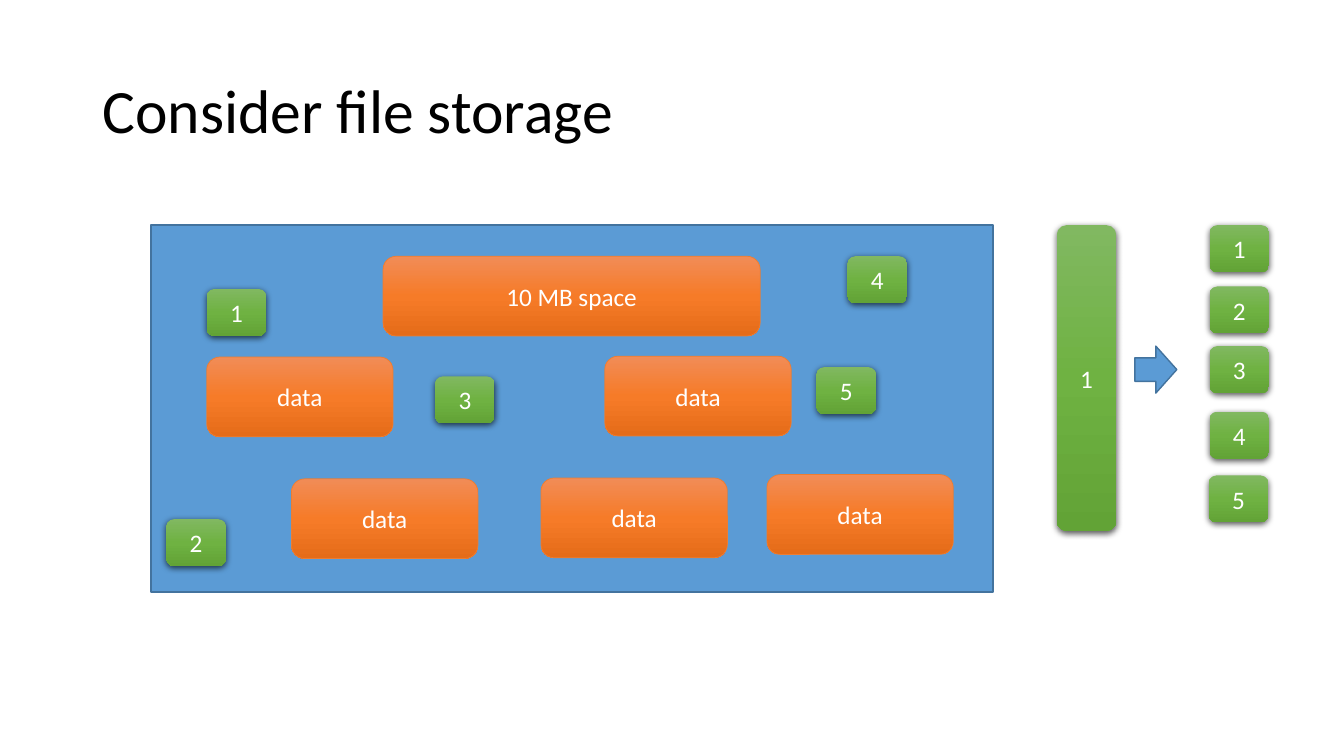
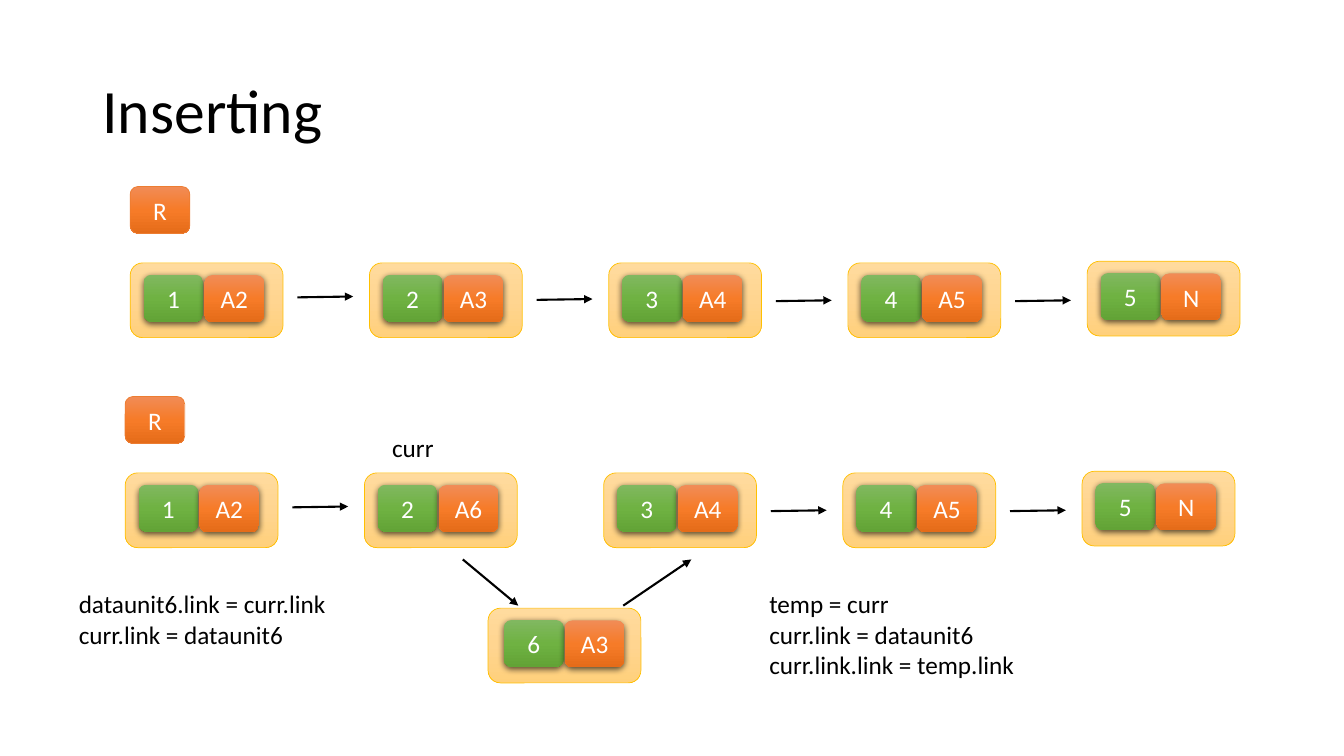
from copy import deepcopy
from dataclasses import dataclass

from lxml.etree import SubElement
from pptx import Presentation
from pptx.dml.color import RGBColor
from pptx.enum.shapes import MSO_CONNECTOR, MSO_SHAPE
from pptx.enum.text import MSO_ANCHOR, MSO_AUTO_SIZE, PP_ALIGN
from pptx.oxml.ns import qn
from pptx.shapes.autoshape import Shape
from pptx.slide import Slide
from pptx.text.text import TextFrame
from pptx.util import Inches, Length, Pt

WIDTH, HEIGHT = Inches(13.33), Inches(7.5)
COLS, ROWS = 160, 90
FONT = "Calibri"
HEX = {
    "ink": "000000", "paper": "FFFFFF",
    "blue": "5B9BD5", "navy": "43739E",
    "rust": "ED7D31", "gold": "FFC000",
}
FADES = {
    "green": ("81B861", "6FB242", "62A336"),
    "orange": ("F18C57", "F67B28", "E56C19"),
    "cream": ("FFDB9E", "FFD590", "FFD07C"),
}
CHIP = (7.1, 5.6)
DATA = (22.2, 9.5)
NODE = (18.2, 8.9)
STEP = 28.48
DIPS = (4.1, 4.4, 4.55, 4.55)


@dataclass
class Box:
    col: float
    row: float
    wide: float
    high: float
    text: str = ""
    fade: str = "green"
    edge: str = ""
    glow: bool = False


@dataclass
class Node:
    col: float
    row: float
    key: str
    link: str
    pad: float = 1.6


@dataclass
class Chain:
    col: float
    row: float
    links: tuple[str, ...]
    gaps: tuple[int, ...]


@dataclass
class Note:
    col: float
    row: float
    wide: float
    high: float
    lines: tuple[str, ...]


def across(cols: float) -> Length:
    return Length(round(WIDTH * cols / COLS))


def down(rows: float) -> Length:
    return Length(round(HEIGHT * rows / ROWS))


def frame(col: float, row: float, wide: float, high: float) -> tuple[Length, ...]:
    return across(col), down(row), across(wide), down(high)


def color(name: str) -> RGBColor:
    return RGBColor.from_string(HEX[name])


def style(text: TextFrame, size: int, ink: str, align: PP_ALIGN) -> None:
    for line in text.paragraphs:
        line.alignment = align
        for run in line.runs:
            run.font.size = Pt(size)
            run.font.name = FONT
            run.font.color.rgb = color(ink)


def shade(shape: Shape, fade: str) -> None:
    shape.fill.gradient()
    shape.fill.gradient_angle = 270
    stops = shape._element.spPr.find(qn("a:gradFill")).find(qn("a:gsLst"))
    stops.append(deepcopy(stops[-1]))
    for stop, tone, place in zip(shape.fill.gradient_stops, FADES[fade], (0, 0.5, 1)):
        stop.color.rgb = RGBColor.from_string(tone)
        stop.position = place


def lift(shape: Shape) -> None:
    list_ = shape._element.spPr.find(qn("a:effectLst"))
    drop = SubElement(list_, qn("a:outerShdw"), blurRad=str(Pt(4.5)),
                      dist=str(Pt(1.5)), dir="5400000", algn="ctr", rotWithShape="0")
    tone = SubElement(drop, qn("a:srgbClr"), val=HEX["ink"])
    SubElement(tone, qn("a:alpha"), val="63000")


def draw_box(slide: Slide, box: Box) -> None:
    shape = slide.shapes.add_shape(
        MSO_SHAPE.ROUNDED_RECTANGLE, *frame(box.col, box.row, box.wide, box.high))
    shape.shadow.inherit = False
    shade(shape, box.fade)
    if box.edge:
        shape.line.color.rgb = color(box.edge)
        shape.line.width = Pt(0.5)
    else:
        shape.line.fill.background()
    if box.glow:
        lift(shape)
    if box.text:
        shape.text_frame.text = box.text
        shape.text_frame.vertical_anchor = MSO_ANCHOR.MIDDLE
        style(shape.text_frame, 18, "paper", PP_ALIGN.CENTER)


def draw_chip(slide: Slide, col: float, row: float, text: str, fade: str = "green") -> None:
    draw_box(slide, Box(col, row, *CHIP, text, fade, glow=True))


def draw_flat(slide: Slide, kind: MSO_SHAPE, place: tuple[float, ...]) -> None:
    shape = slide.shapes.add_shape(kind, *frame(*place))
    shape.shadow.inherit = False
    shape.fill.solid()
    shape.fill.fore_color.rgb = color("blue")
    shape.line.color.rgb = color("navy")
    shape.line.width = Pt(1)


def draw_node(slide: Slide, node: Node) -> None:
    draw_box(slide, Box(node.col, node.row, *NODE, fade="cream", edge="gold"))
    draw_chip(slide, node.col + node.pad, node.row + 1.4, node.key)
    draw_chip(slide, node.col + node.pad + 7.25, node.row + 1.45, node.link, "orange")


def draw_arrow(slide: Slide, col: float, row: float, to_col: float, to_row: float) -> None:
    arrow = slide.shapes.add_connector(
        MSO_CONNECTOR.STRAIGHT, across(col), down(row), across(to_col), down(to_row))
    arrow.line.color.rgb = color("ink")
    arrow.line.width = Pt(1.5)
    SubElement(arrow.line._get_or_add_ln(), qn("a:tailEnd"), type="triangle")
    SubElement(arrow._element.spPr, qn("a:effectLst"))


def draw_chain(slide: Slide, chain: Chain) -> None:
    draw_box(slide, Box(chain.col, chain.row - 9.1, *CHIP, "R", "orange", "rust"))
    last = len(chain.links) - 1
    for spot, link in enumerate(chain.links):
        row = chain.row - (0.2 if spot == last else 0)
        draw_node(slide, Node(chain.col + spot * STEP, row, str(spot + 1), link))
    for gap in chain.gaps:
        col, row = chain.col + gap * STEP + 19.9, chain.row + DIPS[gap]
        draw_arrow(slide, col, row, col + 6.65, row - 0.1)


def draw_note(slide: Slide, note: Note) -> None:
    text = slide.shapes.add_textbox(
        *frame(note.col, note.row, note.wide, note.high)).text_frame
    text.word_wrap = True
    text.auto_size = MSO_AUTO_SIZE.SHAPE_TO_FIT_TEXT
    text.text = "\n".join(note.lines)
    style(text, 18, "ink", PP_ALIGN.LEFT)


def add_page(deck: Presentation, title: str) -> Slide:
    slide = deck.slides.add_slide(deck.slide_layouts.get_by_name("Title Only"))
    head = slide.shapes.title
    head.left, head.top, head.width, head.height = frame(11, 4.8, 138, 17.4)
    text = head.text_frame
    text.text = title
    text.auto_size = MSO_AUTO_SIZE.NONE
    text.vertical_anchor = MSO_ANCHOR.MIDDLE
    text.paragraphs[0].line_spacing = 0.9
    style(text, 44, "ink", PP_ALIGN.LEFT)
    return slide


def draw_store(deck: Presentation) -> None:
    slide = add_page(deck, "Consider file storage")
    draw_flat(slide, MSO_SHAPE.RECTANGLE, (18, 26.8, 100.2, 43.7))
    draw_box(slide, Box(45.6, 30.5, 44.9, 9.5, "10 MB space", "orange", "rust"))
    for col, row in ((24.6, 42.5), (34.7, 57), (64.4, 56.9), (72, 42.4), (91.3, 56.5)):
        draw_box(slide, Box(col, row, *DATA, "data", "orange", "rust"))
    spots = ((24.6, 34.4), (19.8, 61.8), (51.8, 44.8), (100.9, 30.5), (97.2, 43.7))
    parts = ((144, 26.8), (144, 34.1), (144, 41.2), (144, 49), (143.9, 56.6))
    for group in (spots, parts):
        for key, (col, row) in enumerate(group, 1):
            draw_chip(slide, col, row, str(key))
    draw_box(slide, Box(125.8, 26.8, 7.1, 36.4, "1", glow=True))
    draw_flat(slide, MSO_SHAPE.RIGHT_ARROW, (135.1, 41.2, 5, 5.6))


def draw_insert(deck: Presentation) -> None:
    slide = add_page(deck, "Inserting")
    chains = (
        Chain(15.5, 31.3, ("A2", "A3", "A4", "A5", "N"), (0, 1, 2, 3)),
        Chain(14.9, 56.3, ("A2", "A6", "A4", "A5", "N"), (0, 2, 3)),
    )
    for chain in chains:
        draw_chain(slide, chain)
    draw_node(slide, Node(58.1, 72.4, "6", "A3", 1.9))
    draw_arrow(slide, 55.1, 66.6, 61.7, 72.1)
    draw_arrow(slide, 74.2, 72.1, 82.3, 66.6)
    notes = (
        Note(90.4, 69.5, 44.8, 12.1,
             ("temp = curr", "curr.link = dataunit6", "curr.link.link = temp.link")),
        Note(8.2, 69.5, 43.9, 8.5,
             ("dataunit6.link = curr.link", "curr.link = dataunit6")),
        Note(45.5, 50.9, 12.5, 4.8, ("curr",)),
    )
    for note in notes:
        draw_note(slide, note)


def main() -> None:
    deck = Presentation()
    deck.slide_width, deck.slide_height = WIDTH, HEIGHT
    draw_store(deck)
    draw_insert(deck)
    deck.save("out.pptx")


if __name__ == "__main__":
    main()
